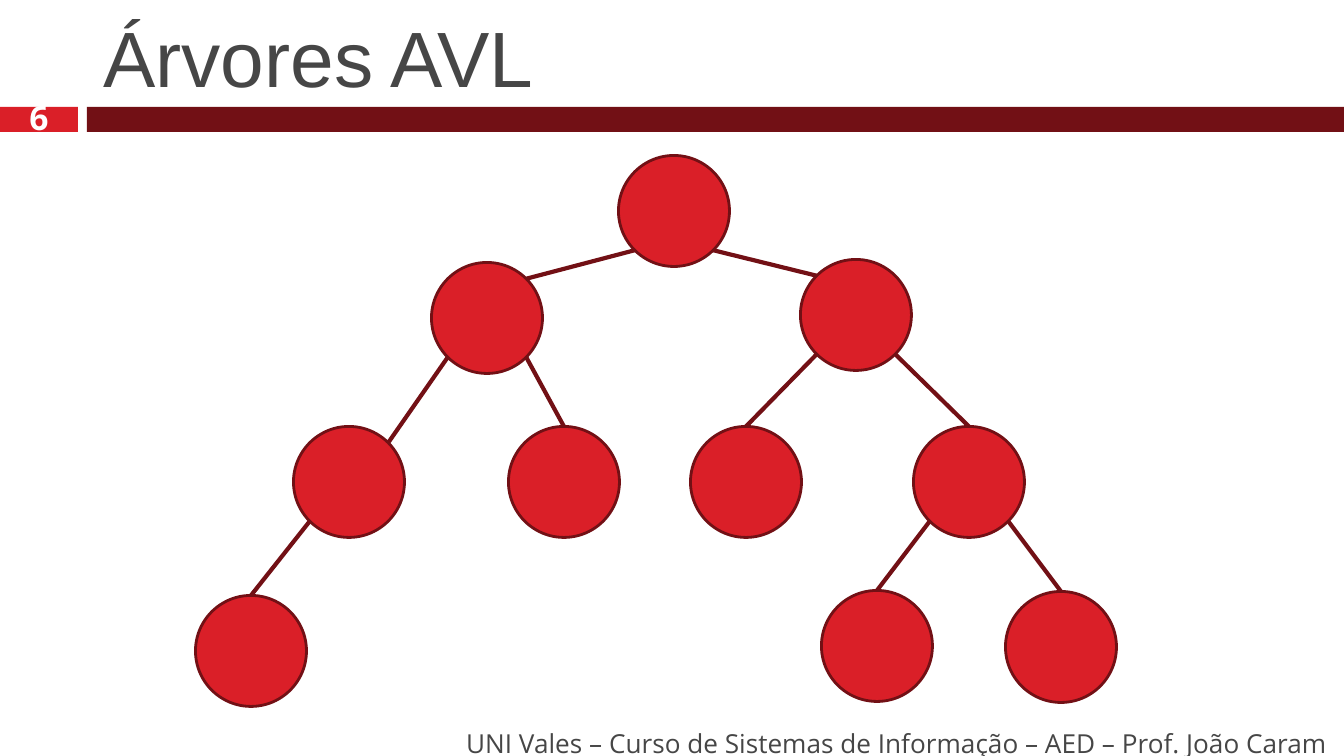
from dataclasses import dataclass
from math import sqrt

from pptx import Presentation
from pptx.dml.color import RGBColor
from pptx.enum.shapes import MSO_CONNECTOR as Connector, MSO_SHAPE as Shape
from pptx.enum.text import MSO_ANCHOR as Anchor, MSO_AUTO_SIZE as AutoSize, PP_ALIGN as Align
from pptx.oxml.ns import qn
from pptx.util import Pt
from lxml.etree import SubElement

SCALE = 914400 / 134.4


@dataclass(frozen=True)
class Theme:
    """Colours, fonts and sizes of the slide."""
    red: str = "DA1F28"
    dark_red: str = "721015"
    gray: str = "464646"
    white: str = "FFFFFF"
    title_font: str = "Arial"
    body_font: str = "Open Sans"
    title_size: float = 42
    footer_size: float = 14
    number_size: float = 18
    outline: float = 1.5
    branch: float = 2.25


def emu(*pixels):
    """Convert pixel lengths to EMU."""
    return [round(pixel * SCALE) for pixel in pixels]


def write(shape, text, font, size, color, bold=False, align=Align.LEFT, anchor=Anchor.MIDDLE):
    """Put formatted text into a shape."""
    frame = shape.text_frame
    frame.word_wrap = True
    frame.auto_size = AutoSize.NONE
    frame.vertical_anchor = anchor
    frame.margin_top = frame.margin_bottom = 0
    paragraph = frame.paragraphs[0]
    paragraph.alignment = align
    run = paragraph.add_run()
    run.text = text
    run.font.name, run.font.size, run.font.bold = font, Pt(size), bold
    run.font.color.rgb = RGBColor.from_string(color)


class SlideBuilder:
    """Draws styled elements on one slide."""

    def __init__(self, slide, theme):
        """Keep the slide and its theme."""
        self.slide, self.theme = slide, theme

    def title(self, text, left, top, width, height):
        """Place the title placeholder."""
        title = self.slide.shapes.title
        title.left, title.top, title.width, title.height = emu(left, top, width, height)
        write(title, text, self.theme.title_font, self.theme.title_size,
              self.theme.gray, anchor=Anchor.BOTTOM)

    def text(self, text, left, top, width, height, **style):
        """Add a text box in the body font."""
        box = self.slide.shapes.add_textbox(*emu(left, top, width, height))
        write(box, text, self.theme.body_font, **style)

    def shape(self, kind, left, top, width, height, fill, line=None):
        """Add a filled preset shape."""
        shape = self.slide.shapes.add_shape(kind, *emu(left, top, width, height))
        shape.shadow.inherit = False
        shape.fill.solid()
        shape.fill.fore_color.rgb = RGBColor.from_string(fill)
        if line:
            shape.line.color.rgb = RGBColor.from_string(line)
            shape.line.width = Pt(self.theme.outline)
        else:
            shape.line.fill.background()

    def node(self, center, diameter):
        """Add a tree node around its center."""
        left, top = (value - diameter / 2 for value in center)
        self.shape(Shape.OVAL, left, top, diameter, diameter,
                   self.theme.red, self.theme.dark_red)

    def branch(self, start, end):
        """Add a straight branch between two points."""
        line = self.slide.shapes.add_connector(Connector.STRAIGHT, *emu(*start, *end))
        line.line.color.rgb = RGBColor.from_string(self.theme.dark_red)
        line.line.width = Pt(self.theme.branch)
        SubElement(line._element.spPr, qn("a:effectLst"))


DIAMETER = 111
NODES = {
    "root": (674, 211),
    "left": (487, 318), "right": (856, 315),
    "left_left": (349, 482), "left_right": (564, 482),
    "right_left": (746, 482), "right_right": (969, 482),
    "left_left_left": (251, 651),
    "right_right_left": (877, 646), "right_right_right": (1061, 647),
}
DIAGONAL_ENDS = {"left", "right", "left_left"}


def rim(center, across, down):
    """Find the point of a node's rim in a given direction."""
    reach = DIAMETER / 2 / sqrt(across ** 2 + down ** 2)
    return center[0] + across * reach, center[1] + down * reach


def draw_tree(builder):
    """Draw every node and the branch from its parent."""
    for center in NODES.values():
        builder.node(center, DIAMETER)
    for name, center in NODES.items():
        if name == "root":
            continue
        parent = NODES[name.rpartition("_")[0] or "root"]
        side = -1 if name.endswith("left") else 1
        inward = -side if name in DIAGONAL_ENDS else 0
        builder.branch(rim(parent, side, 1), rim(center, inward, -1))


def main():
    """Build and save the presentation."""
    theme = Theme()
    presentation = Presentation()
    presentation.slide_width, presentation.slide_height = emu(1344, 756)
    slide = presentation.slides.add_slide(presentation.slide_layouts[5])
    builder = SlideBuilder(slide, theme)
    builder.shape(Shape.RECTANGLE, 0, 107, 78, 25, theme.red)
    builder.shape(Shape.RECTANGLE, 87, 107, 1257, 25, theme.dark_red)
    builder.title("Árvores AVL", 90, 17, 1239, 86)
    builder.text("UNI Vales – Curso de Sistemas de Informação – AED – Prof. João Caram",
                 142, 723, 1199, 40, size=theme.footer_size, color=theme.gray,
                 align=Align.RIGHT)
    draw_tree(builder)
    builder.text("6", 0, 104, 78, 27, size=theme.number_size, color=theme.white,
                 bold=True, align=Align.CENTER)
    presentation.save("out.pptx")


main()
